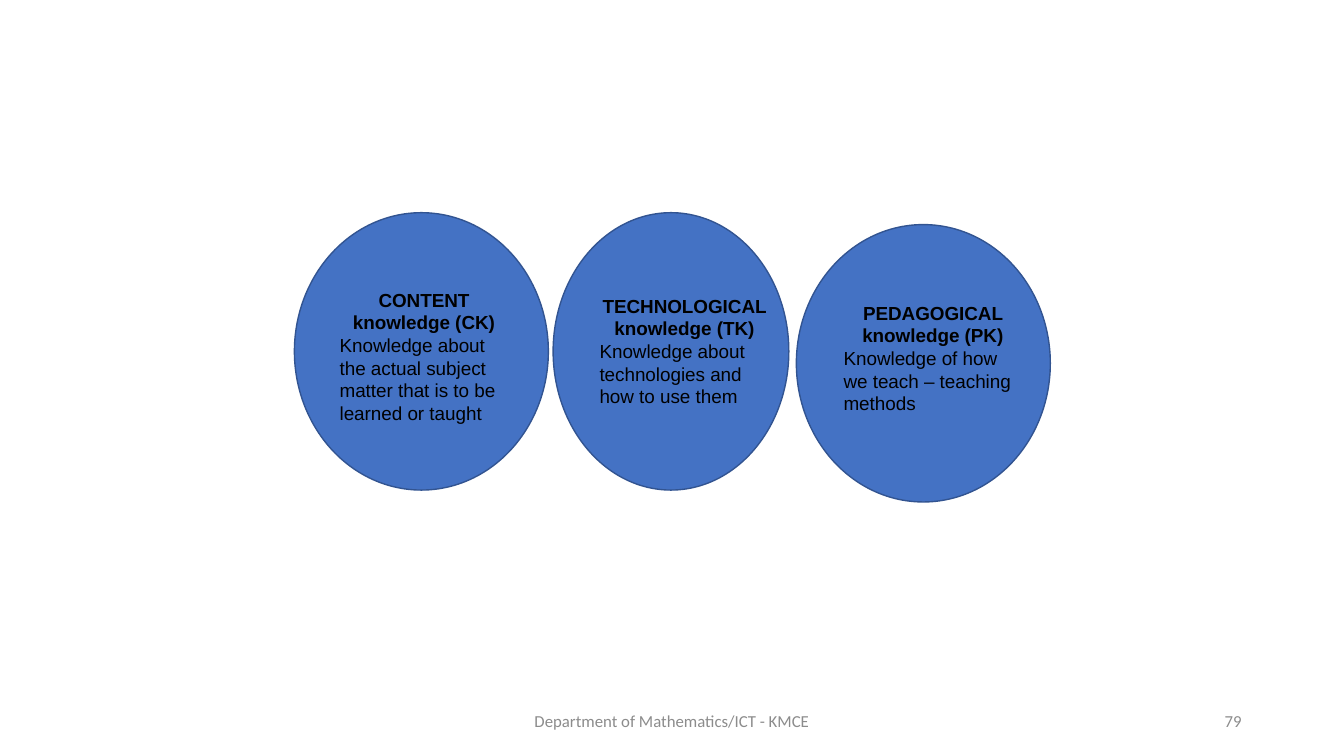
import dataclasses

import pptx
import pptx.dml.color
import pptx.enum.shapes
import pptx.enum.text
import pptx.util

Cm = pptx.util.Cm
ALIGN = pptx.enum.text.PP_ALIGN
ANCHOR = pptx.enum.text.MSO_ANCHOR


@dataclasses.dataclass(frozen=True)
class Theme:
    circle_fill: str = "4472C4"
    circle_line: str = "325491"
    body_color: str = "000000"
    footer_color: str = "8C8C8C"
    body_font: str = "Arial"
    footer_font: str = "Calibri"
    body_size: float = 13.5
    footer_size: float = 12
    line_width: float = 1


def rgb(value):
    return pptx.dml.color.RGBColor.from_string(value)


class SlideBuilder:
    def __init__(self, slide, theme):
        self.slide = slide
        self.theme = theme

    def run(self, p, text, font, size, color, bold=False):
        r = p.add_run()
        r.text = text
        r.font.name = font
        r.font.size = pptx.util.Pt(size)
        r.font.bold = bold
        r.font.color.rgb = rgb(color)

    def text_box(self, shapes, left, top, width, height, anchor):
        sp = shapes.add_textbox(Cm(left), Cm(top), Cm(width), Cm(height))
        tf = sp.text_frame
        tf.word_wrap = True
        tf.vertical_anchor = anchor
        return tf

    def circle(self, shapes, left, top, width, height):
        sp = shapes.add_shape(pptx.enum.shapes.MSO_SHAPE.OVAL,
                              Cm(left), Cm(top), Cm(width), Cm(height))
        sp.shadow.inherit = False
        sp.fill.solid()
        sp.fill.fore_color.rgb = rgb(self.theme.circle_fill)
        sp.line.color.rgb = rgb(self.theme.circle_line)
        sp.line.width = pptx.util.Pt(self.theme.line_width)

    def knowledge(self, circle, caption, heading, description):
        t = self.theme
        shapes = self.slide.shapes.add_group_shape().shapes
        self.circle(shapes, *circle)
        tf = self.text_box(shapes, *caption, ANCHOR.TOP)
        tf.auto_size = pptx.enum.text.MSO_AUTO_SIZE.SHAPE_TO_FIT_TEXT
        p = tf.paragraphs[0]
        p.alignment = ALIGN.CENTER
        self.run(p, heading, t.body_font, t.body_size, t.body_color, True)
        p = tf.add_paragraph()
        p.alignment = ALIGN.LEFT
        self.run(p, description, t.body_font, t.body_size, t.body_color)

    def footer(self, left, width, text, align):
        t = self.theme
        tf = self.text_box(self.slide.shapes, left, 17.65, width, 1.01, ANCHOR.MIDDLE)
        p = tf.paragraphs[0]
        p.alignment = align
        self.run(p, text, t.footer_font, t.footer_size, t.footer_color)


KNOWLEDGE = [
    ((7.42, 5.36, 6.4, 6.99), (8.31, 7.14, 4.75, 3.43), "CONTENT knowledge (CK)",
     "Knowledge about the actual subject matter that is to be learned or taught"),
    ((13.94, 5.36, 5.94, 6.99), (14.86, 7.29, 4.78, 2.9), "TECHNOLOGICAL knowledge (TK)",
     "Knowledge about technologies and how to use them"),
    ((20.07, 5.66, 6.4, 6.99), (21.01, 7.47, 5, 2.9), "PEDAGOGICAL knowledge (PK)",
     "Knowledge of how we teach – teaching methods"),
]


def main():
    prs = pptx.Presentation()
    prs.slide_width = Cm(33.87)
    prs.slide_height = Cm(19.05)
    builder = SlideBuilder(prs.slides.add_slide(prs.slide_layouts[6]), Theme())
    for item in KNOWLEDGE:
        builder.knowledge(*item)
    builder.footer(11.22, 11.43, "Department of Mathematics/ICT - KMCE", ALIGN.CENTER)
    builder.footer(23.92, 7.62, "79", ALIGN.RIGHT)
    prs.save("out.pptx")


if __name__ == "__main__":
    main()
